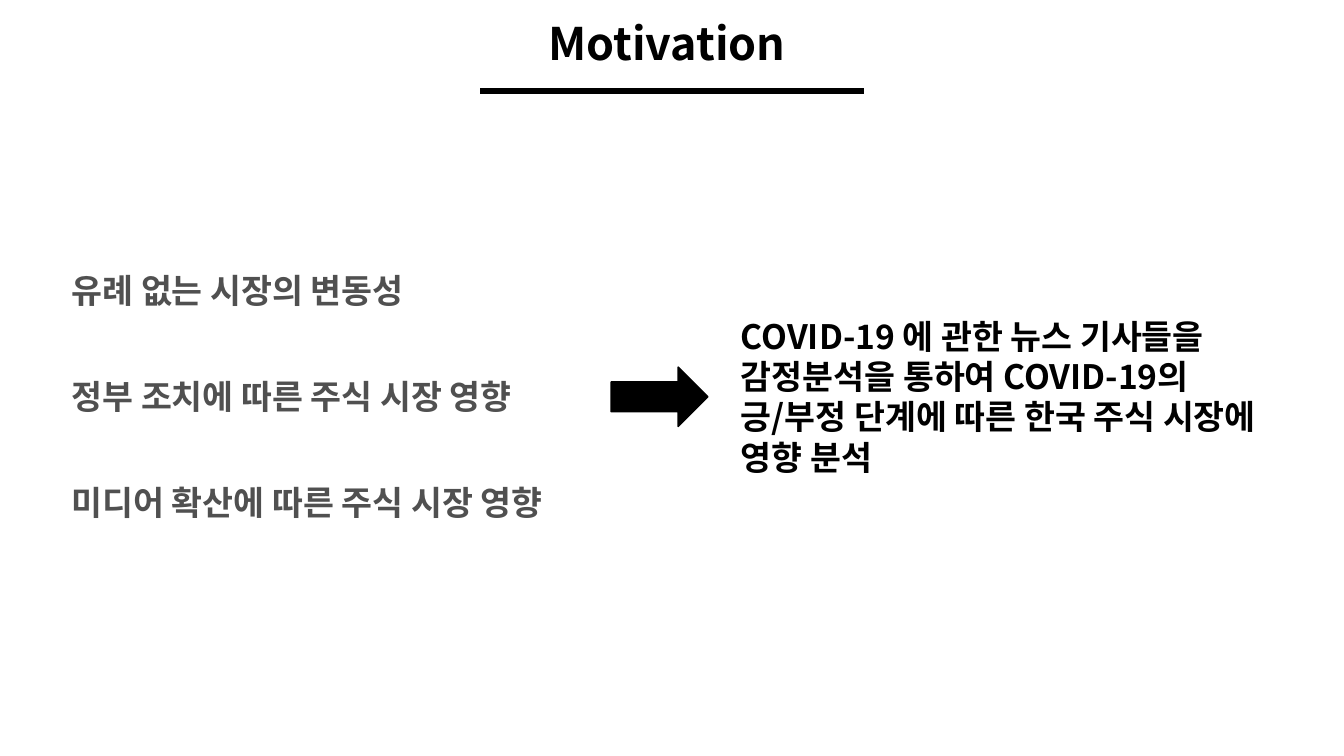
from pptx import Presentation
from pptx import util as u
from pptx.dml.color import RGBColor
from pptx.enum import shapes, text
from pptx.oxml.ns import qn
from lxml import etree

# Content
TITLE = "Motivation "
POINTS = [
    "유례 없는 시장의 변동성",
    "정부 조치에 따른 주식 시장 영향",
    "미디어 확산에 따른 주식 시장 영향",
]
GOAL = ("COVID-19 에 관한 뉴스 기사들을 감정분석을 통하여 "
        "COVID-19의 긍/부정 단계에 따른 한국 주식 시장에 영향 분석")

# Style
FONT = "Noto Sans CJK KR"
HUES = {"ink": "000000", "gray": "505050", "paper": "FFFFFF"}
SIZE, LINE, PITCH = 24, 28.8, 75.6


def hue(name):
    return RGBColor.from_string(HUES[name])


def place(shape, left, top, width, height):
    shape.left, shape.top = u.Cm(left), u.Cm(top)
    shape.width, shape.height = u.Cm(width), u.Cm(height)


def write(par, words, size, color):
    run = par.add_run()
    run.text = words
    font = run.font
    font.name, font.size, font.bold = FONT, u.Pt(size), True
    font.color.rgb = hue(color)
    # Korean glyphs take the East Asian font
    latin = run._r.get_or_add_rPr().find(qn("a:latin"))
    east = etree.Element(qn("a:ea"))
    east.set("typeface", FONT)
    latin.addnext(east)


def main():
    deck = Presentation()
    deck.slide_width, deck.slide_height = u.Inches(13.333), u.Inches(7.5)
    slide = deck.slides.add_slide(deck.slide_layouts[1])
    items = slide.shapes

    # Title
    head = items.title
    place(head, 0, 0.03, 33.87, 2.26)
    head.line.color.rgb = hue("paper")
    head.line.width = u.Pt(3)
    frame = head.text_frame
    frame.vertical_anchor = text.MSO_ANCHOR.MIDDLE
    par = frame.paragraphs[0]
    par.alignment = text.PP_ALIGN.CENTER
    par.line_spacing = 0.9
    write(par, TITLE, 32, "ink")

    # Rule under the title
    rule = items.add_connector(shapes.MSO_CONNECTOR.STRAIGHT,
                               u.Cm(12.1), u.Cm(2.29), u.Cm(21.77), u.Cm(2.29))
    rule.line.color.rgb = hue("ink")
    rule.line.width = u.Pt(4.5)
    etree.SubElement(rule._element.spPr, qn("a:effectLst"))

    # Three points, evenly spaced
    body = slide.placeholders[1]
    place(body, 1.55, 6.68, 16.18, 6.6)
    frame = body.text_frame
    frame.auto_size = text.MSO_AUTO_SIZE.NONE
    frame.vertical_anchor = text.MSO_ANCHOR.TOP
    for i, point in enumerate(POINTS):
        par = frame.add_paragraph() if i else frame.paragraphs[0]
        par.line_spacing = u.Pt(LINE)
        par.space_before = u.Pt(0)
        par.space_after = u.Pt(PITCH - LINE)
        props = par._p.get_or_add_pPr()
        props.set("marL", "0")
        props.set("indent", "0")
        etree.SubElement(props, qn("a:buNone"))
        write(par, point, SIZE, "gray")

    # Arrow from points to goal
    arrow = items.add_shape(shapes.MSO_SHAPE.RIGHT_ARROW,
                            u.Cm(15.4), u.Cm(9.25), u.Cm(2.44), u.Cm(1.5))
    arrow.shadow.inherit = False
    arrow.fill.solid()
    arrow.fill.fore_color.rgb = hue("ink")
    arrow.line.color.rgb = hue("ink")
    arrow.line.width = u.Pt(1)

    # Goal
    goal = items.add_textbox(u.Cm(18.42), u.Cm(7.8), u.Cm(14.2), u.Cm(4.37))
    frame = goal.text_frame
    frame.word_wrap = True
    frame.vertical_anchor = text.MSO_ANCHOR.MIDDLE
    par = frame.paragraphs[0]
    par.line_spacing = u.Pt(LINE)
    write(par, GOAL, SIZE, "ink")

    deck.save("out.pptx")


if __name__ == "__main__":
    main()
